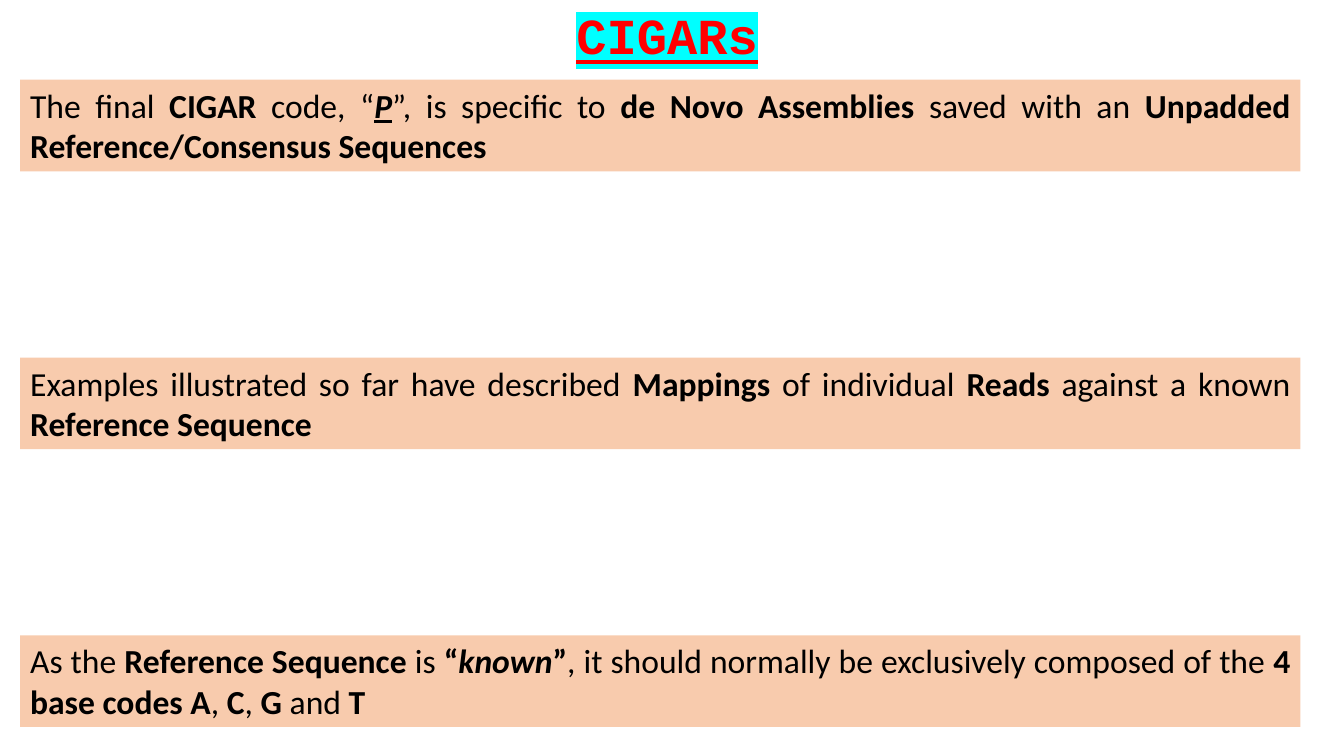
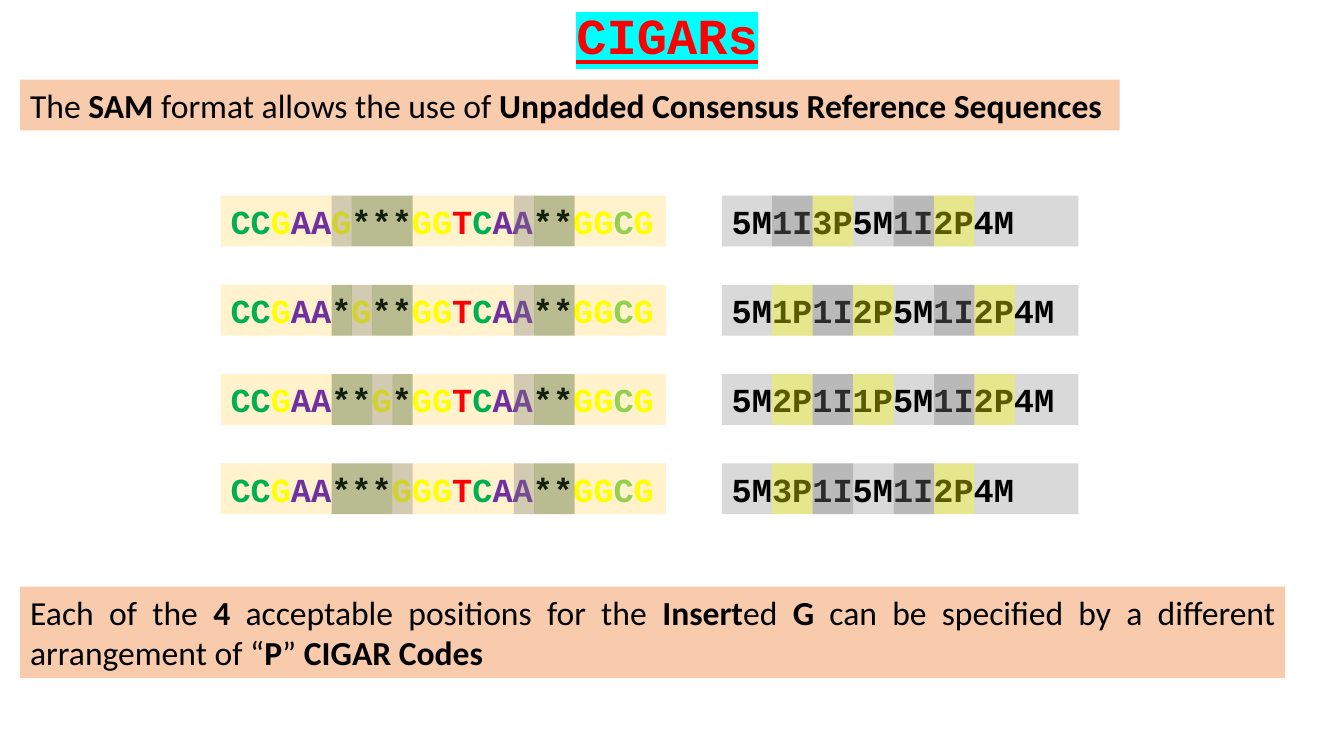
from itertools import groupby

from lxml import etree
from pptx import Presentation
from pptx.dml.color import RGBColor
from pptx.enum.shapes import MSO_SHAPE
from pptx.enum.text import MSO_ANCHOR, MSO_AUTO_SIZE, PP_ALIGN
from pptx.oxml.ns import qn
from pptx.util import Cm, Pt

COLORS = {
    "title": "FF0000",
    "title_mark": "00FFFF",
    "text": "000000",
    "band": "F8CBAD",
    "sequence": "FFF2CC",
    "cigar": "D9D9D9",
    "insert": "808080",
    "gap": "385723",
    "padding": "FFFF00",
    "late_c": "92D050",
}
BASES = {"A": "7030A0", "C": "00B050", "G": "FFFF00", "T": "FF0000",
         "*": COLORS["text"]}
SANS, MONO = "Calibri", "Courier New"

MARGIN = 0.51
BAND_TOP = 2.01
LINE_H, TWO_LINES_H = 1.28, 2.31

# Alignment strips: one monospaced character is CHAR wide
CHAR, INSET = 0.51, 0.25
ROW_TOP, ROW_STEP = 4.93, 2.25
SEQ_LEFT, SEQ_W = 5.56, 11.22
CIGAR_LEFT, CIGAR_W = 18.19, 8.99
PADDED_A, LATE_C = 14, 19  # character positions in each sequence

# Each row: sequence, position of the inserted G, CIGAR string
ALIGNMENTS = [
    ("CCGAAG***GGTCAA**GGCG", 5, "5M1I3P5M1I2P4M"),
    ("CCGAA*G**GGTCAA**GGCG", 6, "5M1P1I2P5M1I2P4M"),
    ("CCGAA**G*GGTCAA**GGCG", 7, "5M2P1I1P5M1I2P4M"),
    ("CCGAA***GGGTCAA**GGCG", 8, "5M3P1I5M1I2P4M"),
]

# Statements: (text, style), where style letters are b, i and u
STATEMENTS = [
    [("The final ", ""), ("CIGAR", "b"), (" code, “", ""), ("P", "biu"),
     ("”, is specific to ", ""), ("de Novo Assemblies ", "b"),
     ("saved with an ", ""), ("Unpadded Reference/Consensus Sequences", "b")],
    [("Examples illustrated so far have described ", ""), ("Mappings ", "b"),
     ("of individual ", ""), ("Reads", "b"), (" against a known ", ""),
     ("Reference Sequence", "b")],
    [("As the ", ""), ("Reference Sequence", "b"), (" is ", ""), ("“", "b"),
     ("known", "bi"), ("”", "b"),
     (", it should normally be exclusively composed of the ", ""),
     ("4 base codes A", "b"), (", ", ""), ("C", "b"), (", ", ""), ("G", "b"),
     (" and ", ""), ("T", "b")],
]
SAM_NOTE = [("The ", ""), ("SAM", "b"), (" format allows the use of ", ""),
            ("Unpadded Consensus Reference Sequences", "b")]
SUMMARY = [("Each of the ", ""), ("4", "b"),
           (" acceptable positions for the ", ""), ("Insert", "b"),
           ("ed ", ""), ("G", "b"),
           (" can be specified by a different arrangement of “", ""),
           ("P", "b"), ("” ", ""), ("CIGAR Codes", "b")]


def rgb(value):
    return RGBColor.from_string(value)


def format_run(r, font, size, color, style=""):
    r.font.name = font
    r.font.size = Pt(size)
    r.font.color.rgb = rgb(color)
    r.font.bold = "b" in style
    r.font.italic = "i" in style
    r.font.underline = "u" in style


def setup_title(layout):
    """Place the title once, for every slide of the layout."""
    sp = layout.placeholders[0]
    sp.left, sp.top, sp.width, sp.height = Cm(14.27), Cm(-0.03), Cm(5.31), Cm(1.8)
    sp.text_frame.vertical_anchor = MSO_ANCHOR.TOP
    sp.text_frame.auto_size = MSO_AUTO_SIZE.NONE


def add_titled_slide(prs, layout, title):
    slide = prs.slides.add_slide(layout)
    tf = slide.shapes.title.text_frame
    tf.text = title
    p = tf.paragraphs[0]
    p.alignment = PP_ALIGN.LEFT
    r = p.runs[0]
    format_run(r, MONO, 36, COLORS["title"], "bu")
    # Text highlight follows the fill in the run properties
    mark = etree.Element(qn("a:highlight"))
    etree.SubElement(mark, qn("a:srgbClr"), val=COLORS["title_mark"])
    r.font._element.find(qn("a:solidFill")).addnext(mark)
    return slide


def add_box(shapes, left, top, width, height, fill):
    """Filled text box; returns its first paragraph."""
    sp = shapes.add_textbox(Cm(left), Cm(top), Cm(width), Cm(height))
    sp.fill.solid()
    sp.fill.fore_color.rgb = rgb(fill)
    sp.text_frame.word_wrap = True
    return sp.text_frame.paragraphs[0]


def add_band(slide, top, width, height, parts):
    p = add_box(slide.shapes, MARGIN, top, width, height, COLORS["band"])
    p.alignment = PP_ALIGN.JUSTIFY
    for text, style in parts:
        r = p.add_run()
        r.text = text
        format_run(r, SANS, 24, COLORS["text"], style)


def add_strip(slide, left, top, width, fill, chars, marks):
    """Coloured characters with see-through marks (start, count, colour)."""
    shapes = slide.shapes.add_group_shape().shapes
    p = add_box(shapes, left, top, width, LINE_H, fill)
    for color, run in groupby(chars, key=lambda pair: pair[1]):
        r = p.add_run()
        r.text = "".join(char for char, _ in run)
        format_run(r, MONO, 24, color, "b")
    for start, count, color in marks:
        sp = shapes.add_shape(
            MSO_SHAPE.RECTANGLE, Cm(left + INSET + start * CHAR), Cm(top),
            Cm(count * CHAR), Cm(LINE_H))
        sp.shadow.inherit = False
        sp.line.fill.background()
        sp.fill.solid()
        sp.fill.fore_color.rgb = rgb(color)
        clr = sp.fill._xPr.find(".//" + qn("a:srgbClr"))
        etree.SubElement(clr, qn("a:alpha"), val="35000")


def add_sequence(slide, top, sequence, inserted):
    chars = [(c, COLORS["late_c"] if i == LATE_C else BASES[c])
             for i, c in enumerate(sequence)]
    marks = [(i, 1, COLORS["insert"]) for i in (inserted, PADDED_A)]
    # One mark for each run of gaps
    for is_gap, run in groupby(range(len(sequence)),
                               key=lambda i: sequence[i] == "*"):
        if is_gap:
            run = list(run)
            marks.append((run[0], len(run), COLORS["gap"]))
    add_strip(slide, SEQ_LEFT, top, SEQ_W, COLORS["sequence"], chars, marks)


def add_cigar(slide, top, code):
    mark_colors = {"I": COLORS["insert"], "P": COLORS["padding"]}
    # Every operation is one digit and one letter
    marks = [(i - 1, 2, mark_colors[c]) for i, c in enumerate(code)
             if c in mark_colors]
    chars = [(c, COLORS["text"]) for c in code]
    add_strip(slide, CIGAR_LEFT, top, CIGAR_W, COLORS["cigar"], chars, marks)


def main():
    prs = Presentation()
    prs.slide_width, prs.slide_height = Cm(33.87), Cm(19.05)
    layout = prs.slide_layouts[5]
    setup_title(layout)

    # Slide 1: three statements, evenly spaced
    slide = add_titled_slide(prs, layout, "CIGARs")
    for i, parts in enumerate(STATEMENTS):
        add_band(slide, BAND_TOP + 7 * i, 32.26, TWO_LINES_H, parts)

    # Slide 2: padded sequences beside their CIGAR strings
    slide = add_titled_slide(prs, layout, "CIGARs")
    add_band(slide, BAND_TOP, 27.71, LINE_H, SAM_NOTE)
    for i, (sequence, inserted, code) in enumerate(ALIGNMENTS):
        top = ROW_TOP + ROW_STEP * i
        add_sequence(slide, top, sequence, inserted)
        add_cigar(slide, top, code)
    add_band(slide, 14.78, 31.88, TWO_LINES_H, SUMMARY)

    prs.save("out.pptx")


if __name__ == "__main__":
    main()
